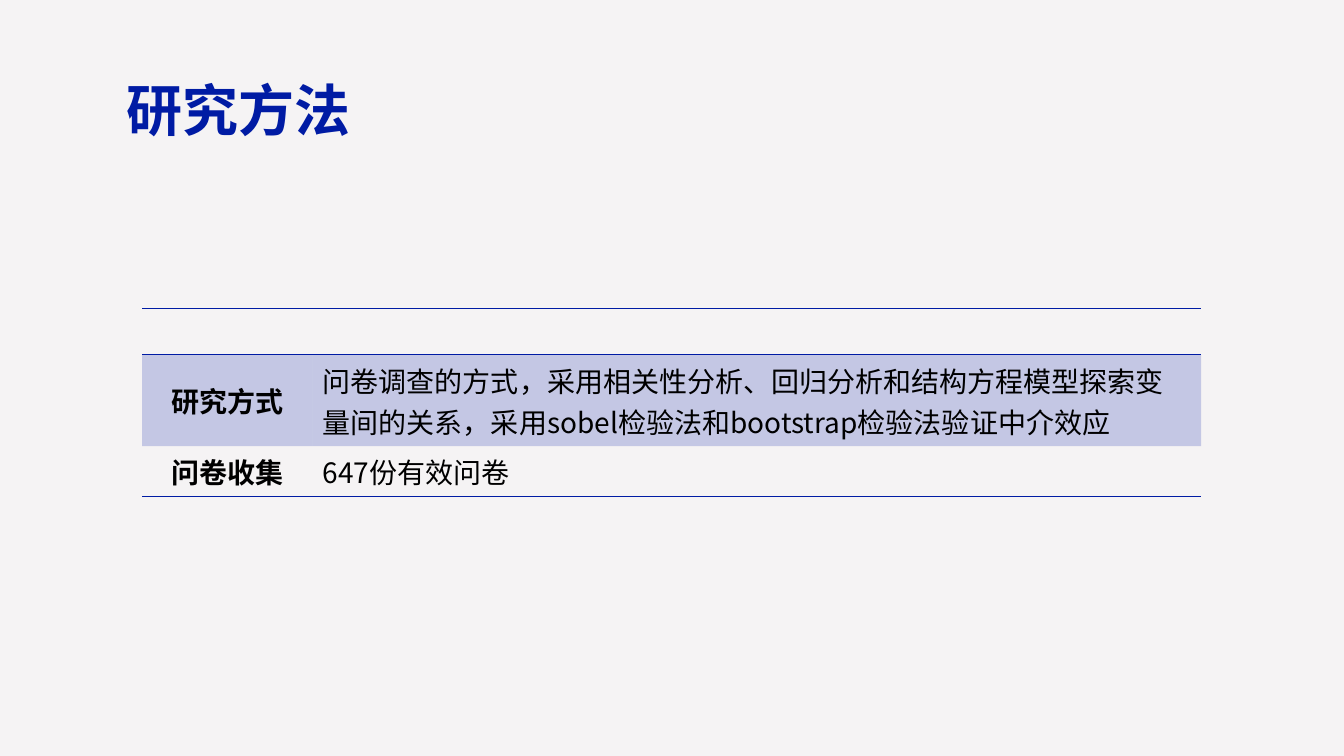
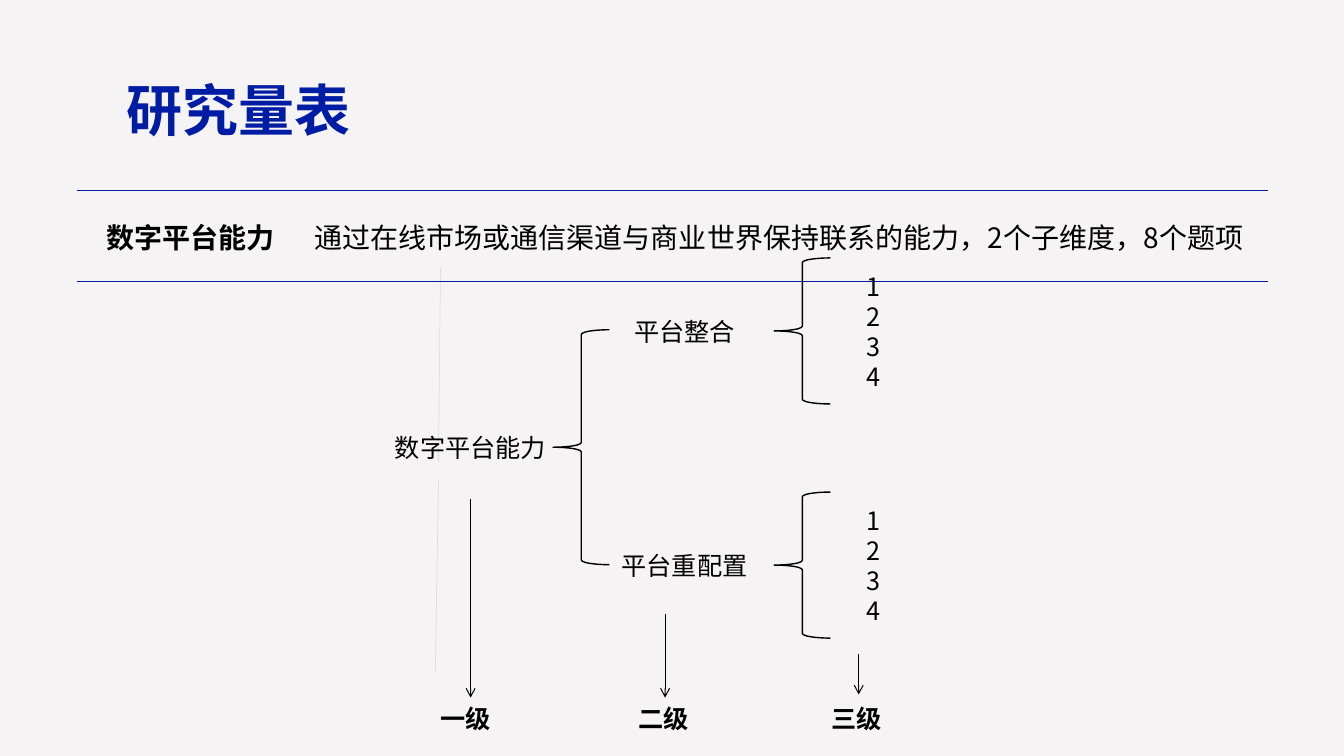
from dataclasses import dataclass

from lxml import etree
from pptx import Presentation
from pptx.dml.color import RGBColor
from pptx.enum.shapes import MSO_CONNECTOR as Connector, MSO_SHAPE as Shape
from pptx.enum.text import MSO_ANCHOR as Anchor, PP_ALIGN as Align
from pptx.oxml.ns import qn
from pptx.util import Cm, Pt

PLAIN_TABLE = "{2D5ABB26-0587-4C30-8999-92F81FD0307C}"


@dataclass(frozen=True)
class Theme:
    font: str = "Noto Sans CJK SC"
    paper: RGBColor = RGBColor(0xF5, 0xF3, 0xF4)
    accent: RGBColor = RGBColor(0x00, 0x1B, 0xA4)
    ink: RGBColor = RGBColor(0, 0, 0)
    grey: RGBColor = RGBColor(0x80, 0x80, 0x80)
    title: float = 40
    table: float = 20
    label: float = 18
    label_spacing: float = 21.6
    faint: int = 20


def set_opacity(fill_parent, percent):
    color = next(fill_parent.iter(qn("a:srgbClr")))
    etree.SubElement(color, qn("a:alpha"), val=str(percent * 1000))


class Deck:
    def __init__(self, theme):
        self.theme = theme
        self.presentation = Presentation()
        self.presentation.slide_width = Cm(33.87)
        self.presentation.slide_height = Cm(19.05)
        background = self.presentation.slide_master.background.fill
        background.solid()
        background.fore_color.rgb = theme.paper
        self.slide = None

    def add_slide(self, title):
        self.slide = self.presentation.slides.add_slide(self.presentation.slide_layouts[6])
        text_frame = self.add_text_frame(2.95, 1.02, 28.58, 3.68)
        text_frame.vertical_anchor = Anchor.MIDDLE
        text_frame.text = title
        paragraph = text_frame.paragraphs[0]
        paragraph.line_spacing = 0.9
        self.format_runs(paragraph, self.theme.title, self.theme.accent, True)

    def add_text_frame(self, left, top, width, height):
        box = self.slide.shapes.add_textbox(Cm(left), Cm(top), Cm(width), Cm(height))
        box.text_frame.word_wrap = True
        return box.text_frame

    def format_runs(self, paragraph, size, color, bold=False):
        for run in paragraph.runs:
            run.font.size = Pt(size)
            run.font.bold = bold
            run.font.color.rgb = color
            run.font.name = self.theme.font
            etree.SubElement(run.font._element, qn("a:ea"), typeface=self.theme.font)

    def add_label(self, text, left, top, width=6, height=1.02, bold=False):
        text_frame = self.add_text_frame(left, top, width, height)
        text_frame.text = text
        for paragraph in text_frame.paragraphs:
            paragraph.alignment = Align.CENTER
            paragraph.line_spacing = Pt(self.theme.label_spacing)
            self.format_runs(paragraph, self.theme.label, self.theme.ink, bold)

    def add_brace(self, left, top, height):
        brace = self.slide.shapes.add_shape(
            Shape.LEFT_BRACE, Cm(left), Cm(top), Cm(1.42), Cm(height))
        brace.shadow.inherit = False
        brace.fill.background()
        brace.line.color.rgb = self.theme.ink
        brace.line.width = Pt(1)

    def add_line(self, start, end, color, width):
        line = self.slide.shapes.add_connector(
            Connector.STRAIGHT, *(Cm(value) for value in (*start, *end)))
        line.line.color.rgb = color
        line.line.width = Pt(width)
        etree.SubElement(line._element.spPr, qn("a:effectLst"))
        return line.line._get_or_add_ln()

    def add_faint_line(self, start, end):
        set_opacity(self.add_line(start, end, self.theme.grey, 0.5), self.theme.faint)

    def add_arrow(self, x, top, bottom):
        outline = self.add_line((x, top), (x, bottom), self.theme.ink, 0.75)
        etree.SubElement(outline, qn("a:tailEnd"), type="arrow")

    def add_table(self, left, top, widths, heights, rows, ruled_rows=(), shaded_rows=()):
        """Rows are (heading, text); a rule is drawn on top and under each ruled row."""
        table = self.slide.shapes.add_table(
            len(rows), len(widths), Cm(left), Cm(top),
            Cm(sum(widths)), Cm(sum(heights))).table
        table.first_row = table.horz_banding = False
        table._tbl.tblPr.find(qn("a:tableStyleId")).text = PLAIN_TABLE
        for column, width in zip(table.columns, widths):
            column.width = Cm(width)
        for row, height in zip(table.rows, heights):
            row.height = Cm(height)
        for row_index, texts in enumerate(rows):
            for column_index, text in enumerate(texts):
                cell = table.cell(row_index, column_index)
                self.fill_cell(cell, text, column_index == 0, row_index in shaded_rows)
                edges = ["a:lnT"] if row_index == 0 else []
                if row_index in ruled_rows:
                    edges.append("a:lnB")
                self.rule_cell(cell, edges)

    def fill_cell(self, cell, text, heading, shaded):
        cell.vertical_anchor = Anchor.MIDDLE
        if shaded:
            cell.fill.solid()
            cell.fill.fore_color.rgb = self.theme.accent
            set_opacity(cell._tc.tcPr, self.theme.faint)
        else:
            cell.fill.background()
        if text:
            cell.text_frame.text = text
            paragraph = cell.text_frame.paragraphs[0]
            paragraph.alignment = Align.CENTER if heading else Align.LEFT
            self.format_runs(paragraph, self.theme.table, self.theme.ink, heading)

    def rule_cell(self, cell, edges):
        for position, edge in enumerate(edges):
            border = etree.Element(qn(edge), w=str(Pt(1)))
            fill = etree.SubElement(border, qn("a:solidFill"))
            etree.SubElement(fill, qn("a:srgbClr"), val=str(self.theme.accent))
            cell._tc.tcPr.insert(position, border)


def build_method_slide(deck):
    deck.add_slide("研究方法")
    deck.add_table(
        3.58, 7.77, (4.3, 22.39), (1.17, 2.3, 1.28),
        [("", ""),
         ("研究方式", "问卷调查的方式，采用相关性分析、回归分析和结构方程模型探索变量间的关系，"
                  "采用sobel检验法和bootstrap检验法验证中介效应"),
         ("问卷收集", "647份有效问卷")],
        ruled_rows=(0, 2), shaded_rows=(1,))


def build_scale_slide(deck):
    deck.add_slide("研究量表")
    deck.add_faint_line((11.1, 6.76), (11.05, 11.63))
    deck.add_faint_line((11.05, 12.09), (10.97, 16.97))
    deck.add_table(
        1.93, 4.8, (5.74, 24.28), (2.3,),
        [("数字平台能力", "通过在线市场或通信渠道与商业世界保持联系的能力，2个子维度，8个题项")],
        ruled_rows=(0,))

    deck.add_label("数字平台能力", 8.86, 10.76)
    deck.add_brace(13.94, 8.31, 5.92)
    for dimension, top in (("平台整合", 6.5), ("平台重配置", 12.4)):
        deck.add_label(dimension, 14.25, top + 1.35)
        deck.add_brace(19.51, top, 3.68)
        deck.add_label("1\n2\n3\n4", 19.02, top + 0.2, height=3.33)

    for level, left, arrow_x, arrow_top, arrow_bottom in (
            ("一级", 10.39, 11.86, 12.57, 17.58),
            ("二级", 15.37, 16.76, 15.47, 17.58),
            ("三级", 20.24, 21.64, 16.48, 17.5)):
        deck.add_label(level, left, 17.6, width=2.7, bold=True)
        deck.add_arrow(arrow_x, arrow_top, arrow_bottom)


def main():
    deck = Deck(Theme())
    build_method_slide(deck)
    build_scale_slide(deck)
    deck.presentation.save("out.pptx")


if __name__ == "__main__":
    main()
